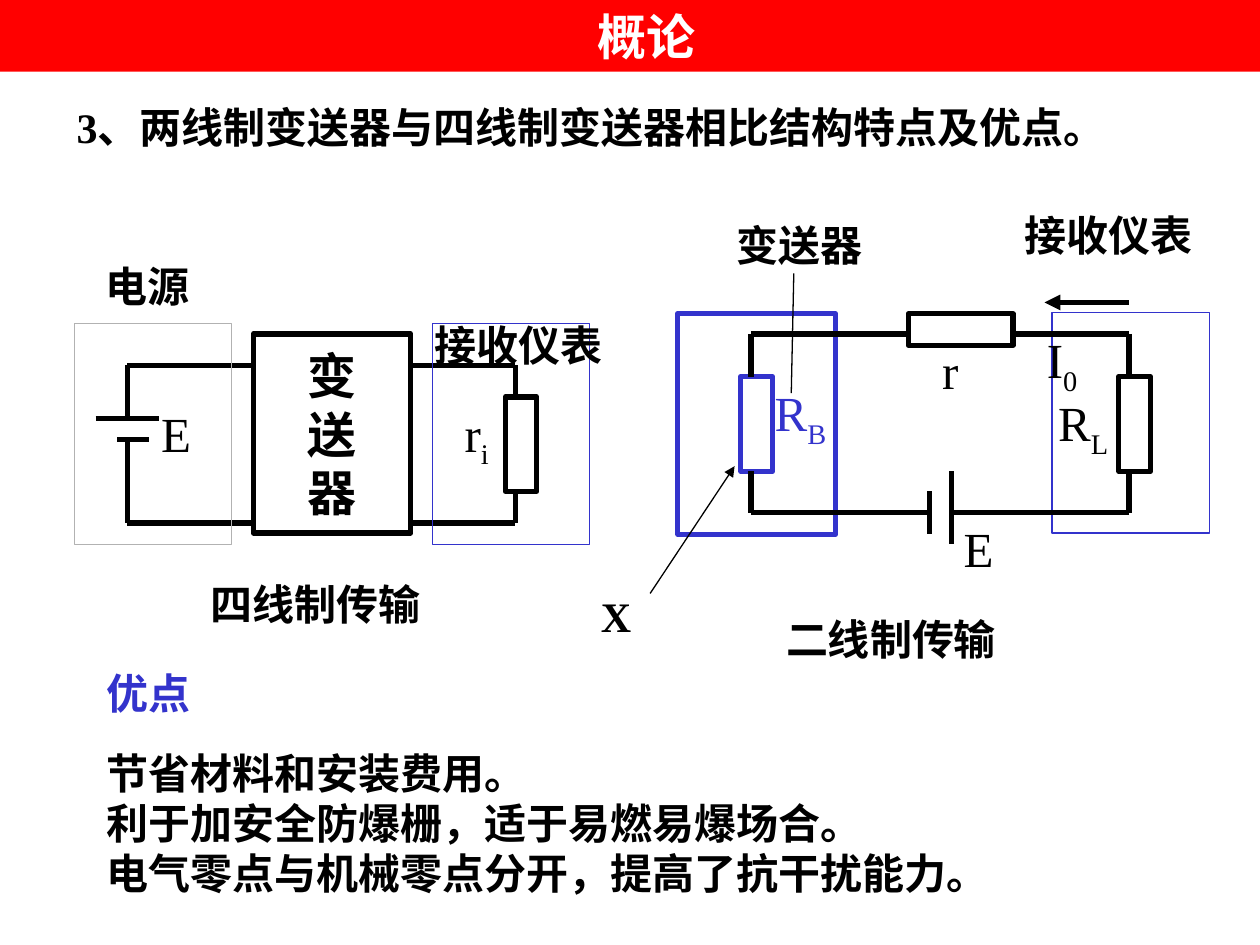
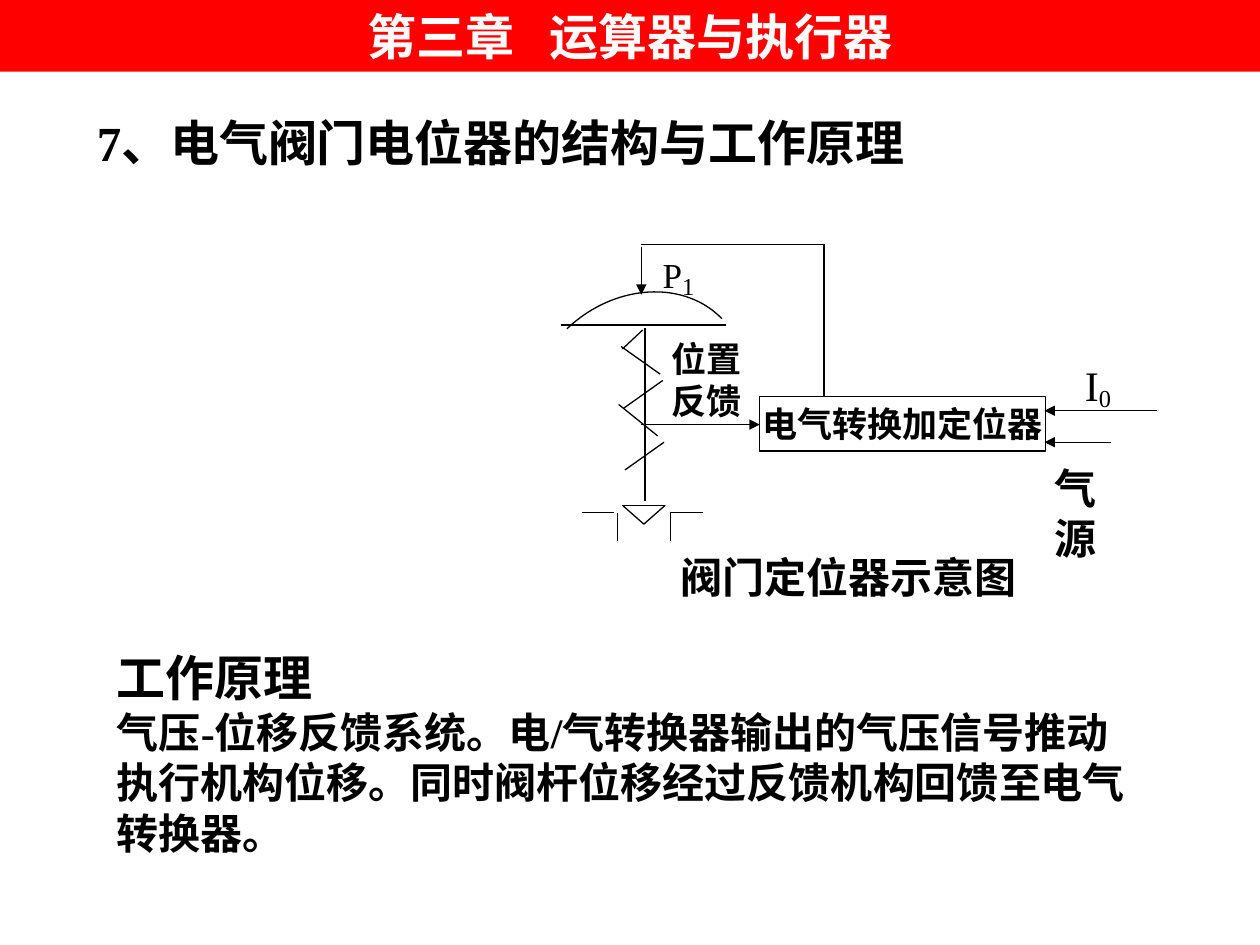
"""Build two slides on transmitters and a valve positioner."""
from pptx import Presentation
from pptx.dml.color import RGBColor
from pptx.enum.dml import MSO_FILL
from pptx.enum.shapes import MSO_CONNECTOR, MSO_SHAPE
from pptx.enum.text import MSO_ANCHOR, PP_ALIGN
from pptx.oxml.ns import qn
from pptx.util import Inches, Pt
from lxml import etree

STRAIGHT = MSO_CONNECTOR.STRAIGHT
RECT = MSO_SHAPE.RECTANGLE
TOP, MIDDLE = MSO_ANCHOR.TOP, MSO_ANCHOR.MIDDLE
LEFT, CENTER = PP_ALIGN.LEFT, PP_ALIGN.CENTER
FONT = "Times New Roman"
COLORS = {"black": "000000", "white": "FFFFFF", "red": "FF0000",
          "blue": "3333CC", "gray": "B2B2B2"}
THICK, THIN = 3, 0.75
LOW = {"baseline": "-25000"}
SMALL = {"baseline": "-16000"}


def rgb(name):
    """Look up a colour by name."""
    return RGBColor.from_string(COLORS[name])


def write(shape, lines, size=24, bold=True, color="black", align=LEFT,
          anchor=TOP, pad=(0.1, 0.05), wrap=True):
    """Fill a shape with lines, each a string or a list of (text, attributes)."""
    frame = shape.text_frame
    frame.word_wrap = wrap
    frame.vertical_anchor = anchor
    frame.margin_left = frame.margin_right = Inches(pad[0])
    frame.margin_top = frame.margin_bottom = Inches(pad[1])
    for index, line in enumerate(lines):
        para = frame.add_paragraph() if index else frame.paragraphs[0]
        para.alignment = align
        para.font.name, para.font.size = FONT, Pt(size)
        para.font.bold, para.font.color.rgb = bold, rgb(color)
        for text, attrs in [(line, {})] if isinstance(line, str) else line:
            run = para.add_run()
            run.text = text
            props = run._r.get_or_add_rPr()
            for key, value in attrs.items():
                props.set(key, value)
    return frame


def label(slide, box, lines, **style):
    """Add a text box."""
    return write(slide.shapes.add_textbox(*map(Inches, box)), lines, **style)


def block(slide, box, color="black", width=THICK):
    """Add an outlined, unfilled rectangle."""
    shape = slide.shapes.add_shape(RECT, *map(Inches, box))
    shape.shadow.inherit = False
    shape.fill.background()
    shape.line.color.rgb = rgb(color)
    shape.line.width = Pt(width)
    return shape


def wire(slide, *points, width=THICK, arrow=False):
    """Join points with straight lines, with an optional arrowhead at the end."""
    for start, end in zip(points, points[1:]):
        line = slide.shapes.add_connector(STRAIGHT, *map(Inches, start + end))
        line.line.color.rgb = rgb("black")
        line.line.width = Pt(width)
        etree.SubElement(line._element.spPr, qn("a:effectLst"))
    if arrow:
        etree.SubElement(line.line._get_or_add_ln(), qn("a:tailEnd"), type="triangle")


def curve(slide, knots, steps=30):
    """Draw a thin cubic curve through its four control points."""
    points = []
    for step in range(steps + 1):
        t = step / steps
        parts = ((1 - t) ** 3, 3 * t * (1 - t) ** 2, 3 * t * t * (1 - t), t ** 3)
        points.append(tuple(Inches(sum(p * k[axis] for p, k in zip(parts, knots)))
                            for axis in (0, 1)))
    pen = slide.shapes.build_freeform(*points[0])
    pen.add_line_segments(points[1:], close=False)
    shape = pen.convert_to_shape()
    shape.shadow.inherit = False
    shape.fill.background()
    shape.line.color.rgb = rgb("black")
    shape.line.width = Pt(THIN)


def banner(slide, title, shift=0):
    """Add the red title band, with the title nudged right by shift."""
    band = block(slide, (0, 0, 10, 0.57))
    band.fill.solid()
    band.fill.fore_color.rgb = rgb("red")
    band.line.fill.background()
    frame = write(band, [title], size=28, color="white", align=CENTER)
    frame.margin_left = Inches(0.1 + shift)


def four_wire(slide):
    """Draw the four-wire circuit."""
    high, low = 2.9, 4.15
    write(block(slide, (2.01, 2.65, 1.25, 1.58)), "变送器", size=28,
          align=CENTER, anchor=MIDDLE, wrap=False)
    block(slide, (4.01, 3.15, 0.25, 0.75))
    wire(slide, (1.01, 3.32), (1.01, high), (2.01, high))
    wire(slide, (0.76, 3.32), (1.26, 3.32))
    wire(slide, (0.93, 3.49), (1.18, 3.49))
    wire(slide, (1.01, 3.49), (1.01, low), (2.01, low))
    wire(slide, (3.26, high), (4.09, high), (4.09, 3.15))
    wire(slide, (3.26, low), (4.09, low), (4.09, 3.9))
    for left, color in ((3.43, "blue"), (0.59, "gray")):
        block(slide, (left, 2.57, 1.25, 1.75), color, THIN)
    label(slide, (3.59, 3.15, 1, 0.63), [[("r", {}), ("i", LOW)]], size=28, bold=False)
    label(slide, (1.18, 3.15, 1, 0.57), ["E"], size=28, bold=False)
    label(slide, (0.74, 2.02, 1.02, 0.5), ["电源"])
    label(slide, (3.35, 2.49, 1.97, 0.5), ["接收仪表"])
    label(slide, (1.57, 4.54, 2.64, 0.5), ["四线制传输"])


def two_wire(slide):
    """Draw the two-wire circuit."""
    west, east, high, low = 5.96, 8.96, 2.65, 4.07
    block(slide, (5.38, 2.49, 1.25, 1.75), "blue")
    block(slide, (5.88, 2.99, 0.25, 0.75), "blue")
    block(slide, (7.21, 2.49, 0.83, 0.25))
    block(slide, (8.88, 2.99, 0.25, 0.75))
    block(slide, (8.35, 2.48, 1.25, 1.75), "blue", THIN)
    wire(slide, (west, 2.99), (west, high), (7.21, high))
    wire(slide, (8.05, high), (east, high), (east, 2.99))
    wire(slide, (west, 3.74), (west, low), (7.38, low))
    wire(slide, (7.38, 3.9), (7.38, 4.24))
    wire(slide, (7.55, 3.74), (7.55, 4.32))
    wire(slide, (7.55, low), (east, low), (east, 3.74))
    wire(slide, (east, 2.4), (8.29, 2.4), arrow=True)
    wire(slide, (6.3, 2.17), (6.28, 3.12), width=THIN)
    wire(slide, (5.16, 4.71), (5.83, 3.7), width=THIN, arrow=True)
    for left, top, name, sub, color in (
            (7.55, 4.07, "E", "", "black"), (7.38, 2.65, "r", "", "black"),
            (6.05, 2.99, "R", "B", "blue"), (8.3, 3.07, "R", "L", "black"),
            (8.21, 2.57, "I", "0", "black")):
        line = [(name, {}), (sub, LOW)] if sub else name
        label(slide, (left, top, 1, 0.6), [line], size=28, bold=False, color=color)
    label(slide, (6.14, 4.82, 2.64, 0.5), ["二线制传输"])
    label(slide, (5.75, 1.69, 1.67, 0.5), ["变送器"])
    label(slide, (8.03, 1.61, 1.97, 0.5), ["接收仪表"])
    label(slide, (4.67, 4.64, 0.5, 0.5), ["X"])


def valve(slide):
    """Draw the valve and its positioner."""
    stem, pipe = 5.12, 4.07
    write(block(slide, (6.03, 3.15, 2.27, 0.43), width=THIN), ["电气转换加定位器"],
          size=20, align=CENTER, anchor=MIDDLE, pad=(0, 0), wrap=False)
    curve(slide, ((4.5, 2.61), (4.88, 2.25), (5.43, 2.22), (5.73, 2.53)))
    for points in (
            ((4.45, 2.58), (5.76, 2.58)), ((stem, 2.6), (stem, 3.98)),
            ((5.1, 2.62), (4.94, 2.77)), ((4.93, 2.75), (5.24, 2.97)),
            ((5.26, 3.02), (4.95, 3.24)), ((4.91, 3.21), (5.22, 3.46)),
            ((5.27, 3.51), (4.96, 3.73)),
            ((4.94, 4.01), (5.28, 4.01), (5.11, 4.16), (4.94, 4.01)),
            ((4.62, pipe), (4.87, pipe)), ((4.9, pipe), (4.9, 4.29)),
            ((5.58, pipe), (5.32, pipe), (5.32, 4.29)),
            ((5.09, 1.94), (6.54, 1.94), (6.54, 3.15))):
        wire(slide, *points, width=THIN)
    for points in (((9.18, 3.26), (8.29, 3.26)), ((8.82, 3.51), (8.29, 3.51)),
                   ((5.09, 1.96), (5.09, 2.34)), ((5.09, 3.37), (6.03, 3.37))):
        wire(slide, *points, width=THIN, arrow=True)
    tight = {"pad": (0, 0), "wrap": False}
    label(slide, (8.61, 2.85, 0.37, 0.3), [[("I", {}), ("0", SMALL)]], bold=False, **tight)
    label(slide, (8.37, 3.67, 0.58, 0.28), ["气源"], **tight)
    label(slide, (5.33, 2.68, 0.64, 0.56), ["位置", "反馈"], size=20, **tight)
    label(slide, (5.26, 1.96, 0.26, 0.3), [[("P", {}), ("1", {**SMALL, "sz": "2400"})]],
          size=20, bold=False, **tight)
    label(slide, (4.45, 4.33, 4.57, 0.5), ["阀门定位器示意图"], align=CENTER)


def main():
    """Build and save both slides."""
    deck = Presentation()
    deck.slide_width, deck.slide_height = Inches(10), Inches(7.5)
    blank = deck.slide_layouts[6]

    slide = deck.slides.add_slide(blank)
    banner(slide, "概论", shift=0.26)
    label(slide, (0.51, 0.76, 8.74, 0.5), ["3、两线制变送器与四线制变送器相比结构特点及优点。"])
    four_wire(slide)
    two_wire(slide)
    label(slide, (0.75, 5.25, 1.5, 0.5), ["优点"], color="blue")
    label(slide, (0.75, 5.88, 8.9, 1.3), [
        "节省材料和安装费用。", "利于加安全防爆栅，适于易燃易爆场合。",
        "电气零点与机械零点分开，提高了抗干扰能力。"])

    slide = deck.slides.add_slide(blank)
    banner(slide, [("第三章", {}), (" ", {"spc": "1400"}), ("运算器与执行器", {})])
    label(slide, (0.67, 0.84, 8.27, 0.57), ["7、电气阀门电位器的结构与工作原理"], size=28)
    valve(slide)
    frame = label(slide, (0.83, 5.09, 8.35, 1.77), [
        "工作原理",
        "气压-位移反馈系统。电/气转换器输出的气压信号推动执行机构位移。"
        "同时阀杆位移经过反馈机构回馈至电气转换器。"])
    frame.paragraphs[0].font.size = Pt(28)
    deck.save("out.pptx")


if __name__ == "__main__":
    main()
